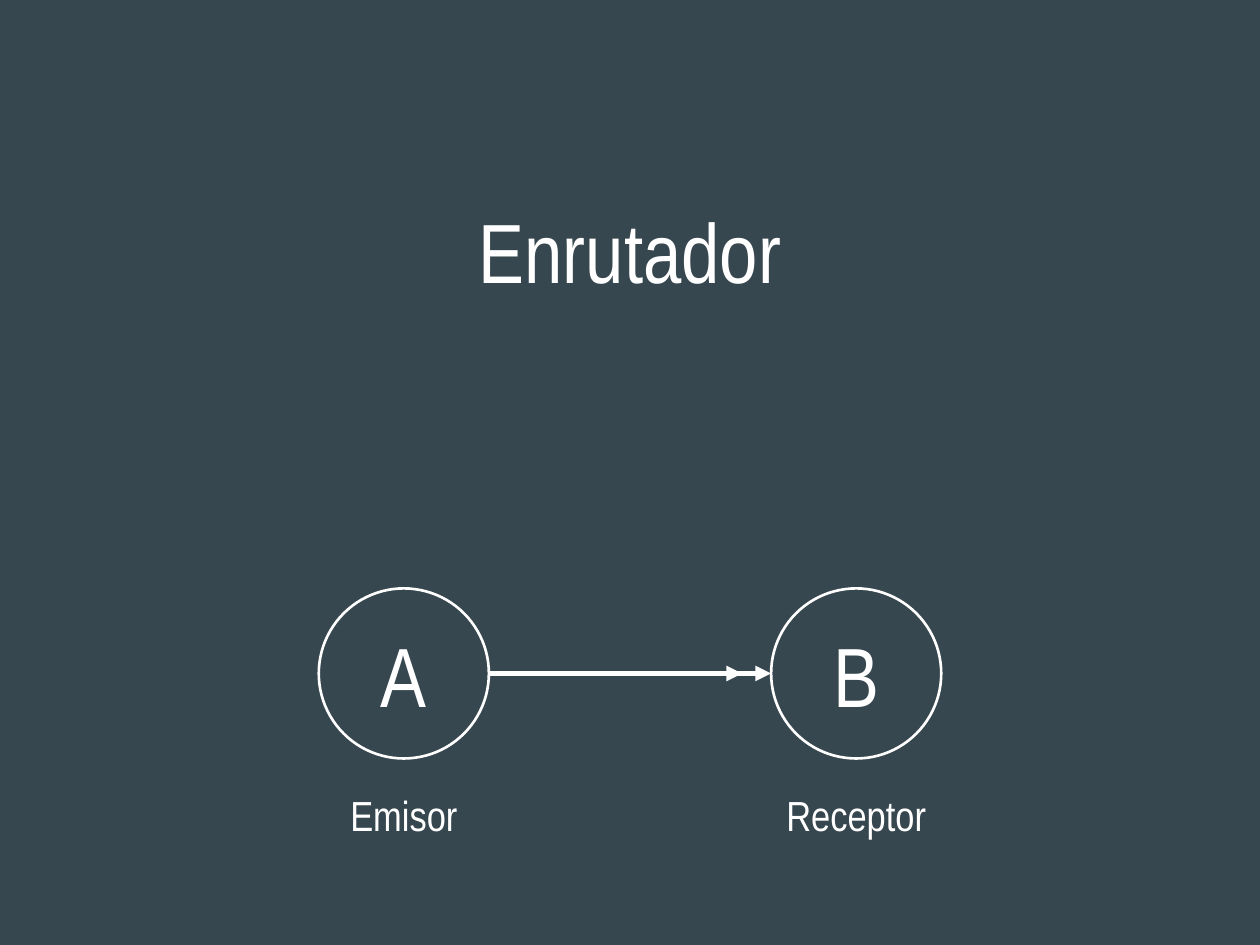
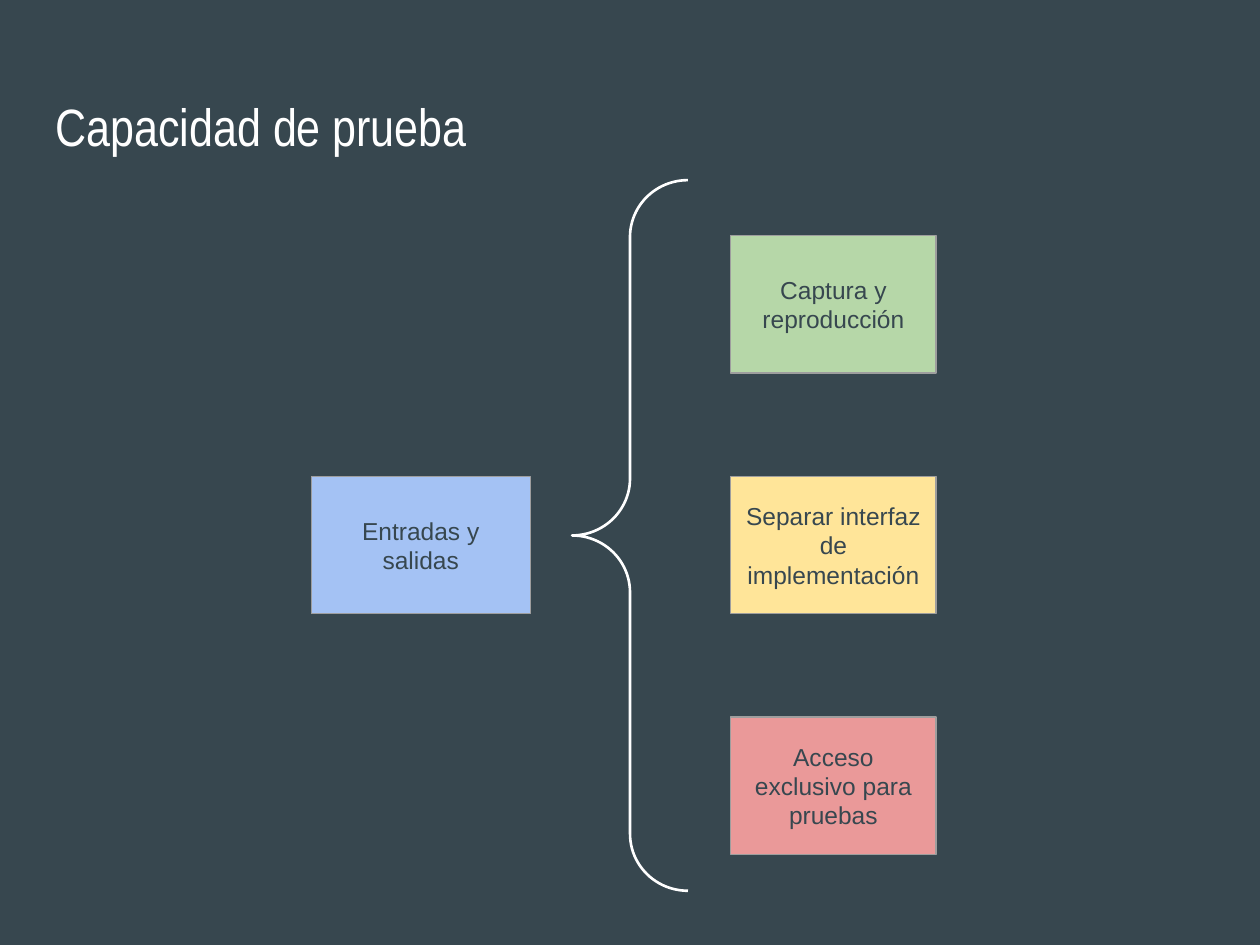
from dataclasses import dataclass

from lxml import etree
from pptx import Presentation
from pptx.dml.color import RGBColor
from pptx.enum.shapes import MSO_CONNECTOR, MSO_SHAPE
from pptx.enum.text import MSO_ANCHOR, MSO_AUTO_SIZE, PP_ALIGN
from pptx.oxml.ns import qn
from pptx.util import Inches, Pt

LEFT, CENTER = PP_ALIGN.LEFT, PP_ALIGN.CENTER
TOP, MIDDLE = MSO_ANCHOR.TOP, MSO_ANCHOR.MIDDLE
ELLIPSE, RECT, BRACE = MSO_SHAPE.OVAL, MSO_SHAPE.RECTANGLE, MSO_SHAPE.LEFT_BRACE
STRAIGHT = MSO_CONNECTOR.STRAIGHT

COLORS = {
    "bg": "37474F",
    "white": "FFFFFF",
    "border": "9E9E9E",
    "blue": "A4C2F4",
    "green": "B6D7A8",
    "yellow": "FFE599",
    "red": "EA9999",
}
DISPLAY, BODY = "Arial Narrow", "Arial"
TITLE_ONLY = 5

NODE_TOP, NODE_SIZE = 4.67, 1.35
LABEL_TOP, LABEL_W, LABEL_H = 6.15, 1.99, 0.63
BOX_H, BOX_PITCH = 1.09, 1.91
OPTION_LEFT, OPTION_TOP, OPTION_W = 5.8, 1.87, 1.63


@dataclass
class Node:
    letter: str
    label: str
    left: float


@dataclass
class Box:
    text: str
    fill: str
    left: float
    top: float
    width: float


NODES = [Node("A", "Emisor", 2.53), Node("B", "Receptor", 6.12)]
OPTIONS = [
    ("Captura y reproducción", "green"),
    ("Separar interfaz de implementación", "yellow"),
    ("Acceso exclusivo para pruebas", "red"),
]
BOXES = [Box("Entradas y salidas", "blue", 2.47, OPTION_TOP + BOX_PITCH, 1.74)] + [
    Box(text, fill, OPTION_LEFT, OPTION_TOP + i * BOX_PITCH, OPTION_W)
    for i, (text, fill) in enumerate(OPTIONS)
]


def rgb(name: str) -> RGBColor:
    return RGBColor.from_string(COLORS[name])


def set_text(sp, text: str, *, size: float, font: str = DISPLAY,
             color: str = "white", align=CENTER, anchor=MIDDLE) -> None:
    tf = sp.text_frame
    tf.word_wrap = True
    tf.auto_size = MSO_AUTO_SIZE.NONE
    tf.vertical_anchor = anchor
    tf.margin_left = tf.margin_right = Inches(0.1)
    tf.margin_top = tf.margin_bottom = Inches(0.1)
    p = tf.paragraphs[0]
    p.alignment = align
    r = p.add_run()
    r.text = text
    r.font.name = font
    r.font.size = Pt(size)
    r.font.color.rgb = rgb(color)


def add_titled_slide(prs, title: str, left: float, top: float, width: float,
                     height: float, *, size: float, align=LEFT):
    s = prs.slides.add_slide(prs.slide_layouts[TITLE_ONLY])
    sp = s.shapes.title
    sp.left, sp.top = Inches(left), Inches(top)
    sp.width, sp.height = Inches(width), Inches(height)
    set_text(sp, title, size=size, align=align, anchor=TOP)
    return s


def add_outline(s, kind, left: float, top: float, width: float, height: float,
                *, fill: str = "", line: str = "white", weight: float = 1.5):
    """Add a preset shape, hollow unless a fill is given."""
    sp = s.shapes.add_shape(kind, Inches(left), Inches(top), Inches(width), Inches(height))
    sp.shadow.inherit = False
    if fill:
        sp.fill.solid()
        sp.fill.fore_color.rgb = rgb(fill)
    else:
        sp.fill.background()
    sp.line.color.rgb = rgb(line)
    sp.line.width = Pt(weight)
    return sp


def add_arrow(s, start: float, end: float, y: float) -> None:
    cx = s.shapes.add_connector(STRAIGHT, Inches(start), Inches(y), Inches(end), Inches(y))
    cx.line.color.rgb = rgb("white")
    cx.line.width = Pt(3)
    etree.SubElement(cx.line._get_or_add_ln(), qn("a:tailEnd"), type="triangle")
    etree.SubElement(cx._element.spPr, qn("a:effectLst"))


def add_node(s, node: Node) -> None:
    """Add a lettered circle with its label centred below."""
    sp = add_outline(s, ELLIPSE, node.left, NODE_TOP, NODE_SIZE, NODE_SIZE)
    set_text(sp, node.letter, size=48)
    label_left = node.left + (NODE_SIZE - LABEL_W) / 2
    label = s.shapes.add_textbox(Inches(label_left), Inches(LABEL_TOP),
                                 Inches(LABEL_W), Inches(LABEL_H))
    set_text(label, node.label, size=24)


def add_box(s, box: Box) -> None:
    sp = add_outline(s, RECT, box.left, box.top, box.width, BOX_H,
                     fill=box.fill, line="border", weight=0.75)
    set_text(sp, box.text, size=14, font=BODY, color="bg")


def build_router(prs) -> None:
    s = add_titled_slide(prs, "Enrutador", 2.95, 1.48, 4.1, 2.75, size=48, align=CENTER)
    for node in NODES:
        add_node(s, node)
    sender, receiver = NODES
    for end in (receiver.left, receiver.left - 0.23):
        add_arrow(s, sender.left + NODE_SIZE, end, NODE_TOP + NODE_SIZE / 2)


def build_testability(prs) -> None:
    s = add_titled_slide(prs, "Capacidad de prueba", 0.34, 0.65, 9.32, 0.83, size=30)
    for box in BOXES:
        add_box(s, box)
    brace = add_outline(s, BRACE, 4.54, 1.43, 0.92, 5.64)
    brace.adjustments[0] = 0.49
    brace.adjustments[1] = 0.5


def main() -> None:
    prs = Presentation()
    prs.slide_width, prs.slide_height = Inches(10), Inches(7.5)
    bg = prs.slide_master.background.fill
    bg.solid()
    bg.fore_color.rgb = rgb("bg")
    build_router(prs)
    build_testability(prs)
    prs.save("out.pptx")


if __name__ == "__main__":
    main()
